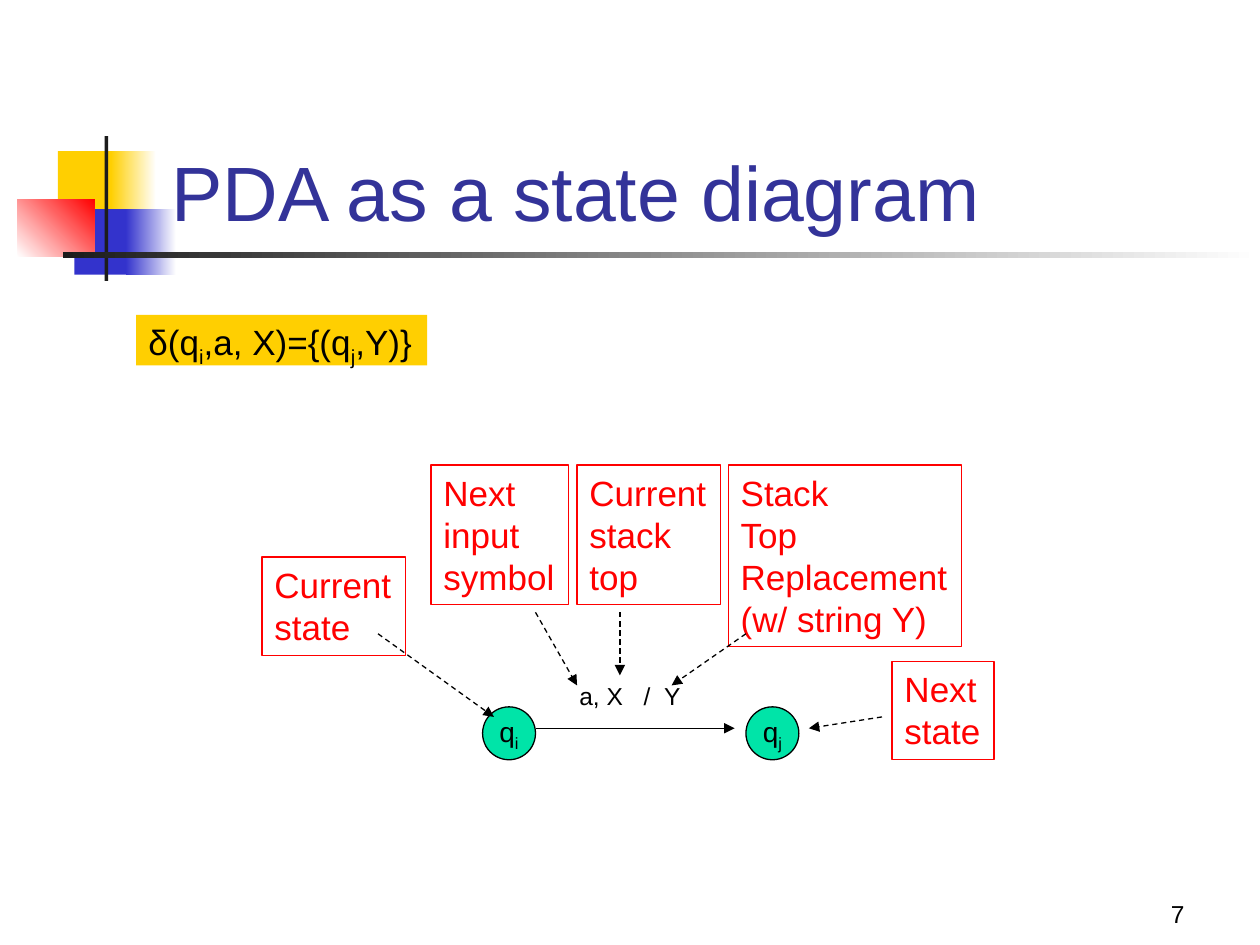
from dataclasses import dataclass

from lxml import etree
from pptx import Presentation
from pptx.dml.color import RGBColor
from pptx.enum.dml import MSO_LINE
from pptx.enum.shapes import MSO_CONNECTOR, MSO_SHAPE as Shape
from pptx.enum.text import MSO_ANCHOR as Anchor, MSO_AUTO_SIZE as AutoSize, PP_ALIGN as Align
from pptx.oxml.ns import qn
from pptx.util import Inches, Pt


@dataclass(frozen=True)
class Theme:
    font: str = "Arial"
    black: str = "000000"
    white: str = "FFFFFF"
    red: str = "FF0000"
    yellow: str = "FFCF01"
    blue: str = "3333CC"
    title: str = "333399"
    state: str = "00E4A8"
    rule: str = "1C1C1C"
    title_size: int = 44
    body_size: int = 20
    state_size: int = 16
    small_size: int = 14
    line: float = 0.75


theme = Theme()

# Content: a text is a string, or a list of (words, run attributes)
SUB = {"baseline": "-25000"}
TITLE = "PDA as a state diagram"
PAGE_NUMBER = "7"
RULE = [("δ(q", {}), ("i", SUB), (",a, X)={(q", {}), ("j", SUB), (",Y)}", {})]
TRANSITION = [("a, X", {}), (" ", {"spc": "780"}), ("/", {}), (" ", {"spc": "390"}), ("Y", {})]
STATES = [("i", 3.83), ("j", 5.92)]  # subscript, left
NOTES = [  # "\v" breaks a line, "\n" starts a paragraph
    ("Next\vinput\vsymbol", (3.42, 3.69, 1.09, 1.11)),
    ("Current\vstate", (2.08, 4.42, 1.14, 0.78)),
    ("Current\nstack\vtop", (4.58, 3.69, 1.14, 1.11)),
    ("Stack\nTop\nReplacement\n(w/ string Y)", (5.78, 3.69, 1.85, 1.44)),
    ("Next\vstate", (7.08, 5.25, 0.81, 0.78)),
]
POINTERS = [
    ((3, 5.03), (3.92, 5.69)),
    ((4.25, 4.86), (4.58, 5.44)),
    ((4.92, 4.86), (4.92, 5.36)),
    ((5.92, 5.03), (5.33, 5.44)),
    ((7, 5.69), (6.42, 5.78)),
]
DECOR = [  # place, colours (two make a gradient), gradient angle
    ((0.46, 1.2, 0.48, 0.52), [theme.yellow], 0),
    ((0.88, 1.2, 0.36, 0.52), [theme.yellow, theme.white], 0),
    ((0.59, 1.66, 0.46, 0.52), [theme.blue], 0),
    ((1, 1.66, 0.4, 0.52), [theme.blue, theme.white], 0),
    ((0.14, 1.58, 0.61, 0.46), [theme.white, theme.red], 45),
    ((0.83, 1.08, 0.03, 1.15), [theme.rule], 0),
    ((0.5, 2, 9.5, 0.05), [theme.rule, theme.white], 0),
]

deck = Presentation()
deck.slide_width, deck.slide_height = Inches(10), Inches(7.5)
page = deck.slides.add_slide(deck.slide_layouts[6])


def rgb(color):
    return RGBColor.from_string(color)


def write(box, text, size, color=theme.black, align=Align.LEFT, anchor=Anchor.TOP,
          wrap=False, grow=False):
    frame = box.text_frame
    frame.word_wrap = wrap
    frame.auto_size = AutoSize.SHAPE_TO_FIT_TEXT if grow else AutoSize.NONE
    frame.vertical_anchor = anchor
    if isinstance(text, str):
        frame.text = text
    else:
        for words, attributes in text:
            span = frame.paragraphs[0].add_run()
            span.text = words
            for name, value in attributes.items():
                span.font._element.set(name, value)
    for para in frame.paragraphs:
        para.alignment = align
        para.font.name, para.font.size = theme.font, Pt(size)
        para.font.color.rgb = rgb(color)


def add_box(place, kind=Shape.RECTANGLE, colors=(), angle=0, outline=None):
    box = page.shapes.add_shape(kind, *map(Inches, place))
    box.shadow.inherit = False
    if len(colors) == 2:
        box.fill.gradient()
        box.fill.gradient_angle = angle
        for stop, color in zip(box.fill.gradient_stops, colors):
            stop.color.rgb = rgb(color)
    elif colors:
        box.fill.solid()
        box.fill.fore_color.rgb = rgb(colors[0])
    else:
        box.fill.background()
    if outline:
        box.line.color.rgb = rgb(outline)
        box.line.width = Pt(theme.line)
    else:
        box.line.fill.background()
    return box


def add_text(place, *args, **options):
    write(page.shapes.add_textbox(*map(Inches, place)), *args, **options)


def add_arrow(start, end, dashed=True):
    arrow = page.shapes.add_connector(MSO_CONNECTOR.STRAIGHT, *map(Inches, start + end))
    arrow.line.color.rgb = rgb(theme.black)
    arrow.line.width = Pt(theme.line)
    if dashed:
        arrow.line.dash_style = MSO_LINE.DASH
    properties = arrow._element.spPr
    etree.SubElement(properties.find(qn("a:ln")), qn("a:tailEnd"), type="triangle")
    etree.SubElement(properties, qn("a:effectLst"))


# Decoration, title and page number
for place, colors, angle in DECOR:
    add_box(place, colors=colors, angle=angle)
add_text((7.42, 6.92, 2.08, 0.5), PAGE_NUMBER, theme.small_size,
         align=Align.RIGHT, anchor=Anchor.BOTTOM, wrap=True)
add_text((1.26, 0.68, 8.52, 1.25), TITLE, theme.title_size, theme.title,
         anchor=Anchor.BOTTOM, wrap=True)

# States and the transition between them
for subscript, left in STATES:
    circle = add_box((left, 5.61, 0.42, 0.42), Shape.OVAL, [theme.state], outline=theme.black)
    write(circle, [("q", {}), (subscript, SUB)], theme.state_size,
          align=Align.CENTER, anchor=Anchor.MIDDLE)
add_arrow((4.25, 5.78), (5.83, 5.78), dashed=False)
add_text((4.5, 5.36, 1.06, 0.34), TRANSITION, theme.small_size, grow=True)

# Notes and their pointers
for text, place in NOTES:
    write(add_box(place, outline=theme.red), text, theme.body_size, theme.red, grow=True)
for start, end in POINTERS:
    add_arrow(start, end)

# Transition rule
rule_box = add_box((1.08, 2.5, 2.31, 0.4), colors=[theme.yellow])
write(rule_box, RULE, theme.body_size, grow=True)
rule_box.text_frame.paragraphs[0].line_spacing = 0.9

deck.save("out.pptx")
